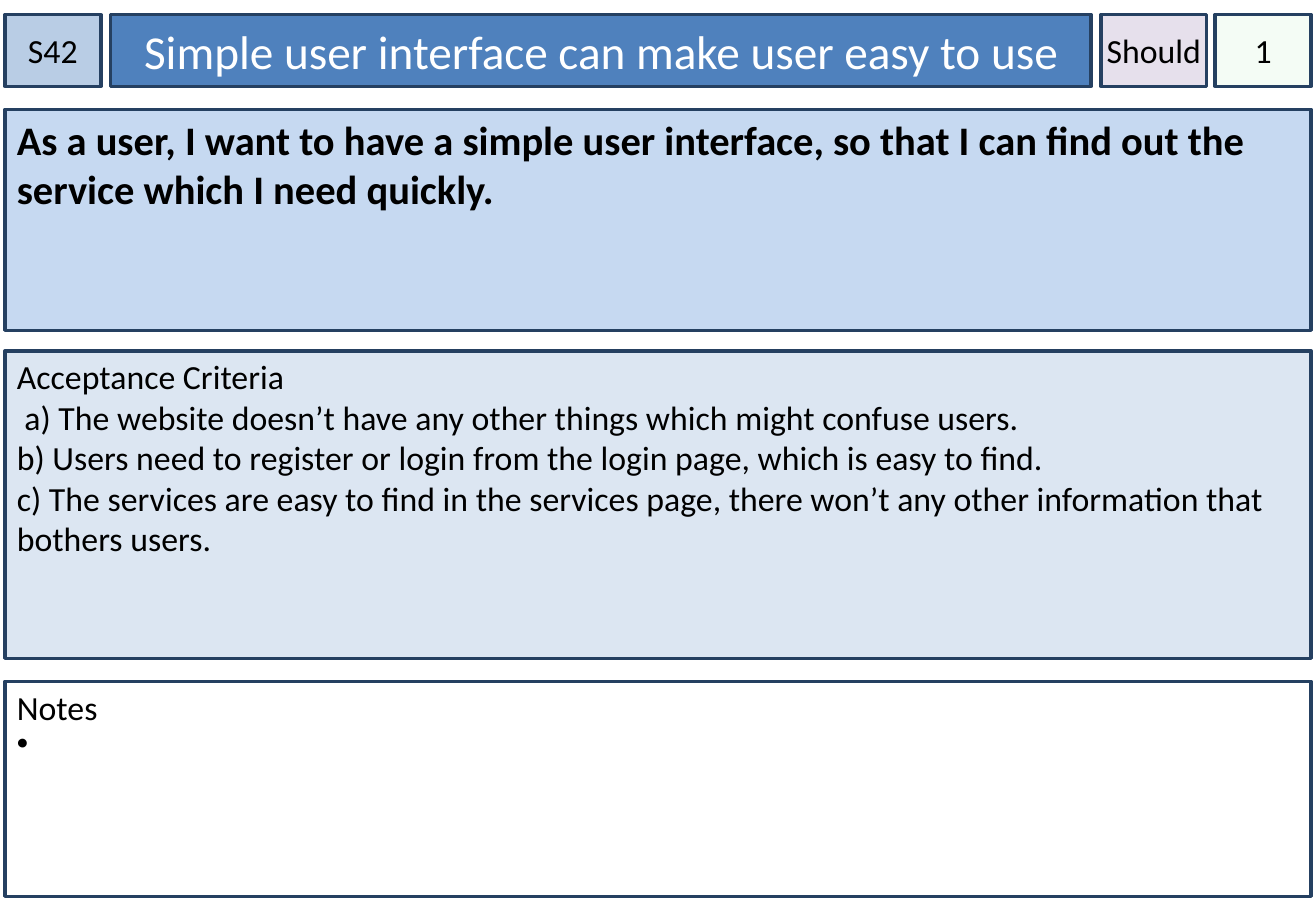
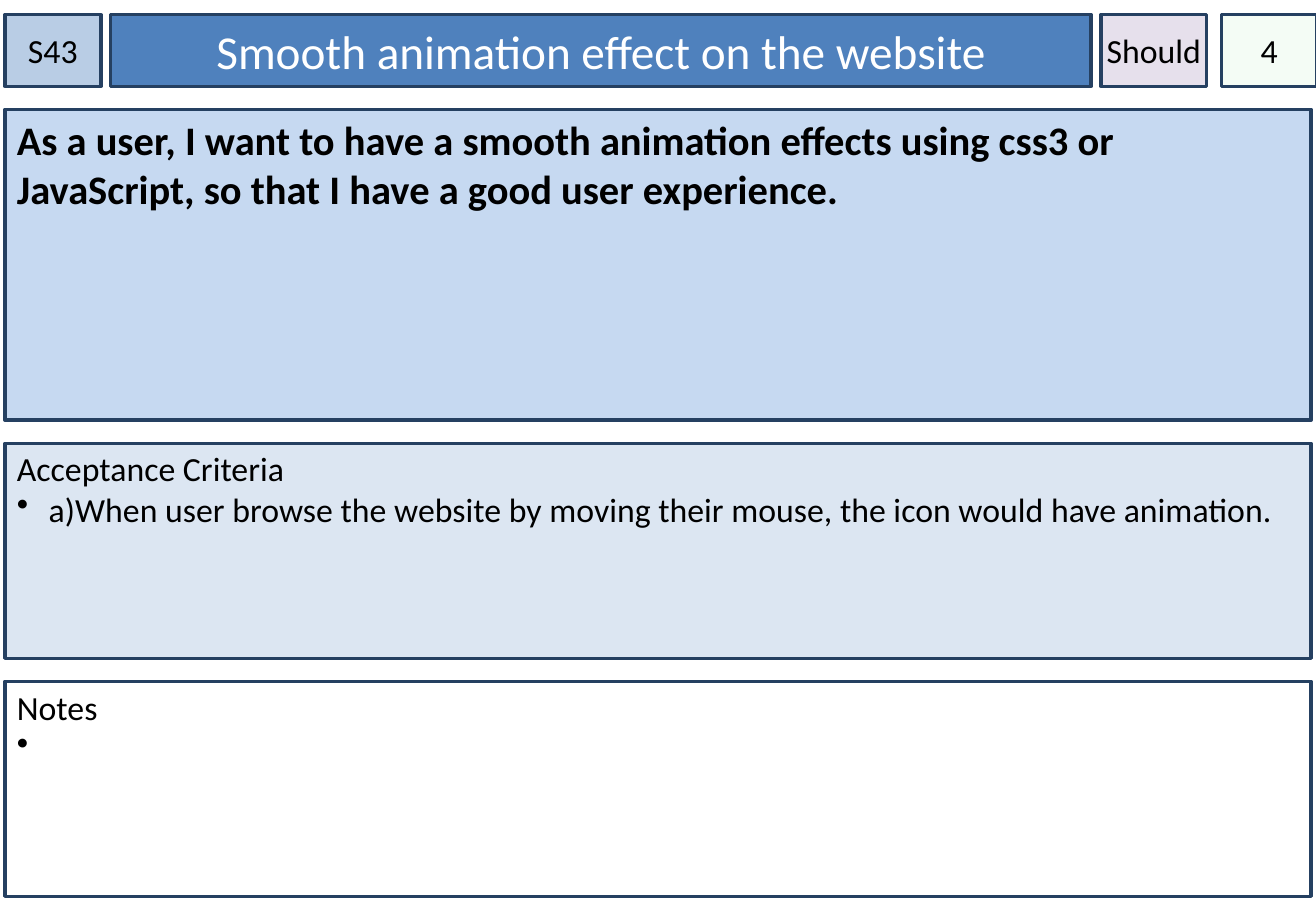
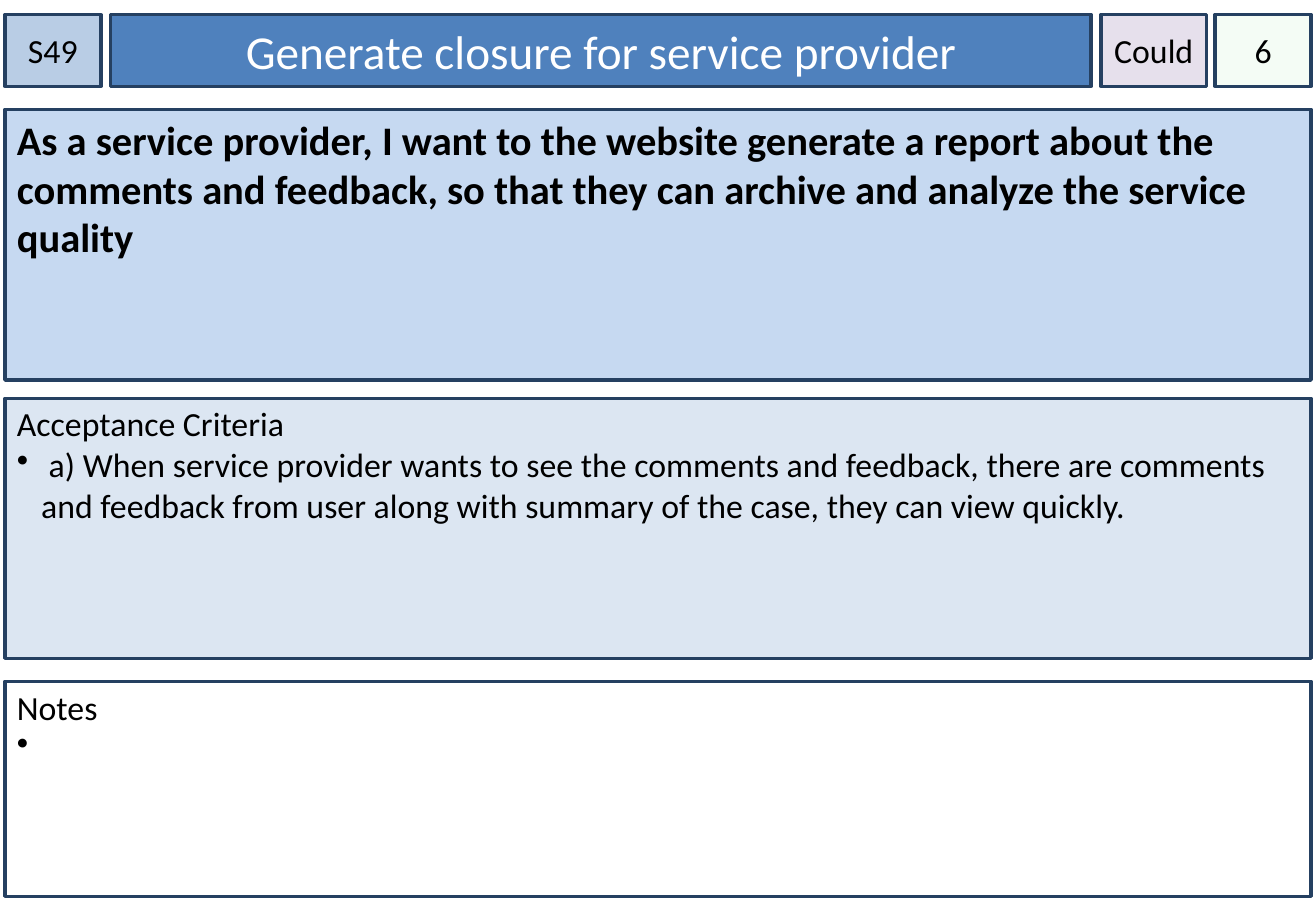
from dataclasses import dataclass

from lxml import etree
from pptx import Presentation
from pptx.dml.color import RGBColor
from pptx.enum.shapes import MSO_SHAPE
from pptx.enum.text import MSO_ANCHOR, PP_ALIGN
from pptx.oxml.ns import qn
from pptx.slide import Slide
from pptx.util import Inches, Pt

RECTANGLE = MSO_SHAPE.RECTANGLE
TOP, MIDDLE = MSO_ANCHOR.TOP, MSO_ANCHOR.MIDDLE
LEFT, CENTER = PP_ALIGN.LEFT, PP_ALIGN.CENTER

FONT = "Calibri"
BLACK, WHITE, OUTLINE = "000000", "FFFFFF", "254061"
EDGE, FULL_WIDTH = 0.04, 10.75
HEADER_TOP, HEADER_HEIGHT = 0.12, 0.59
STORY_TOP, CRITERIA_BOTTOM = 0.9, 5.42
NOTES_TOP, NOTES_HEIGHT = 5.61, 1.77
BULLET_INDENT = 0.2


@dataclass(frozen=True)
class Line:
    text: str
    bullet: bool = False


@dataclass(frozen=True)
class Style:
    fill: str
    size: int = 20
    color: str = BLACK
    bold: bool = False
    align: PP_ALIGN = LEFT
    anchor: MSO_ANCHOR = TOP
    side_inset: float = 0.1
    top_inset: float = 0.05
    wrap: bool = True
    opacity: int = 100


@dataclass(frozen=True)
class Story:
    code: str
    title: str
    priority: str
    points: str
    text: str
    story_height: float
    criteria_top: float
    criteria: tuple[Line, ...]
    points_left: float = 10


def tag_style(fill: str, wrap: bool = True, opacity: int = 100) -> Style:
    return Style(fill, align=CENTER, anchor=MIDDLE, side_inset=0, wrap=wrap, opacity=opacity)


CODE = tag_style("B9CDE5")
PRIORITY = tag_style("E6E0EC", wrap=False)
POINTS = tag_style("CCF0CD", opacity=20)
TITLE = Style("4F81BD", size=28, color=WHITE, align=CENTER, anchor=MIDDLE)
STORY = Style("C6D9F1", size=24, bold=True)
CRITERIA = Style("DCE6F2", top_inset=0.04)
NOTES = Style(WHITE, top_inset=0.04)

STORIES = (
    Story(
        "S42", "Simple user interface can make user easy to use", "Should", "1",
        "As a user, I want to have a simple user interface, so that I can find out "
        "the service which I need quickly.",
        1.82, 2.89,
        (
            Line(" a) The website doesn’t have any other things which might confuse users."),
            Line("b) Users need to register or login from the login page, which is easy to find."),
            Line("c) The services are easy to find in the services page, there won’t any "
                 "other information that bothers users."),
        ),
    ),
    Story(
        "S43", "Smooth animation effect on the website", "Should", "4",
        "As a user, I want to have a smooth animation effects using css3 or JavaScript, "
        "so that I have a good user experience.",
        2.56, 3.65,
        (Line(" a)When user browse the website by moving their mouse, the icon would "
              "have animation.", bullet=True),),
        points_left=10.05,
    ),
    Story(
        "S49", "Generate closure for service provider", "Could", "6",
        "As a service provider, I want to the website generate a report about the comments "
        "and feedback, so that they can archive and analyze the service quality",
        2.23, 3.28,
        (Line(" a) When service provider wants to see the comments and feedback, there are "
              "comments and feedback from user along with summary of the case, they can "
              "view quickly.", bullet=True),),
    ),
)


def rgb(value: str) -> RGBColor:
    return RGBColor.from_string(value)


def add_box(page: Slide, left: float, top: float, width: float, height: float,
            style: Style, *lines: Line) -> None:
    box = page.shapes.add_shape(
        RECTANGLE, Inches(left), Inches(top), Inches(width), Inches(height))
    box.shadow.inherit = False
    box.fill.solid()
    box.fill.fore_color.rgb = rgb(style.fill)
    if style.opacity < 100:
        color = box.element.spPr.find(qn("a:solidFill")).find(qn("a:srgbClr"))
        etree.SubElement(color, qn("a:alpha")).set("val", str(style.opacity * 1000))
    box.line.color.rgb = rgb(OUTLINE)
    box.line.width = Pt(2)

    frame = box.text_frame
    frame.word_wrap = style.wrap
    frame.vertical_anchor = style.anchor
    frame.margin_left = frame.margin_right = Inches(style.side_inset)
    frame.margin_top = Inches(style.top_inset)
    frame.margin_bottom = Inches(0.05)
    for index, line in enumerate(lines):
        para = frame.add_paragraph() if index else frame.paragraphs[0]
        para.alignment = style.align
        if line.bullet:
            properties = para._p.get_or_add_pPr()
            properties.set("marL", str(Inches(BULLET_INDENT)))
            properties.set("indent", str(-Inches(BULLET_INDENT)))
            etree.SubElement(properties, qn("a:buChar")).set("char", "•")
        span = para.add_run()
        span.text = line.text
        span.font.name = FONT
        span.font.size = Pt(style.size)
        span.font.bold = style.bold
        span.font.color.rgb = rgb(style.color)


def add_header(page: Slide, story: Story) -> None:
    for left, width, style, text in (
        (EDGE, 0.79, CODE, story.code),
        (0.91, 8.07, TITLE, story.title),
        (story.points_left, 0.79, POINTS, story.points),
        (9.06, 0.87, PRIORITY, story.priority),
    ):
        add_box(page, left, HEADER_TOP, width, HEADER_HEIGHT, style, Line(text))


def add_panels(page: Slide, story: Story) -> None:
    criteria_height = CRITERIA_BOTTOM - story.criteria_top
    for top, height, style, lines in (
        (STORY_TOP, story.story_height, STORY, (Line(story.text),)),
        (story.criteria_top, criteria_height, CRITERIA,
         (Line("Acceptance Criteria"), *story.criteria)),
        (NOTES_TOP, NOTES_HEIGHT, NOTES, (Line("Notes"), Line(" ", bullet=True))),
    ):
        add_box(page, EDGE, top, FULL_WIDTH, height, style, *lines)


def main() -> None:
    deck = Presentation()
    deck.slide_width, deck.slide_height = Inches(10.83), Inches(7.5)
    blank = deck.slide_layouts[6]
    for story in STORIES:
        page = deck.slides.add_slide(blank)
        add_header(page, story)
        add_panels(page, story)
    deck.save("out.pptx")


if __name__ == "__main__":
    main()
